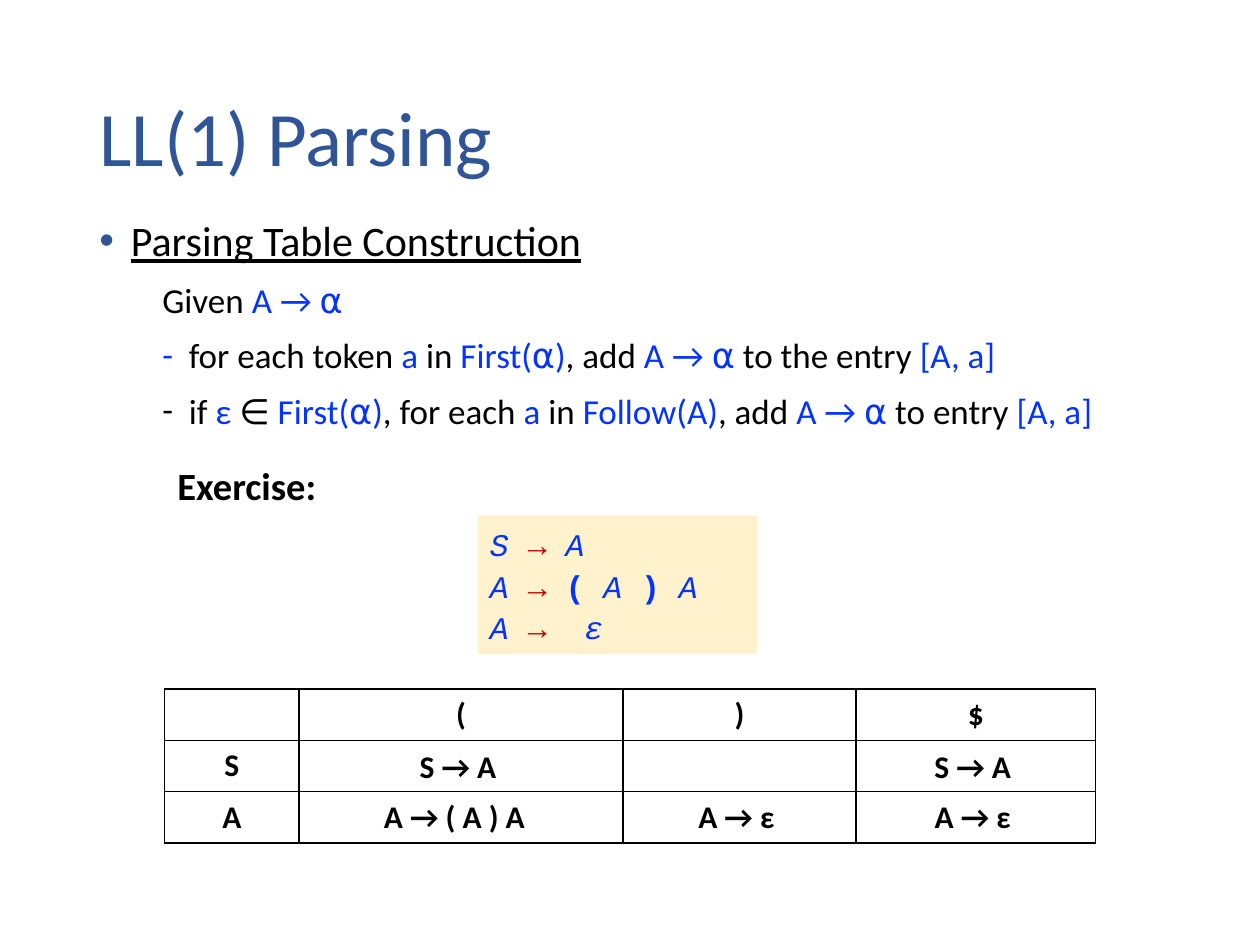
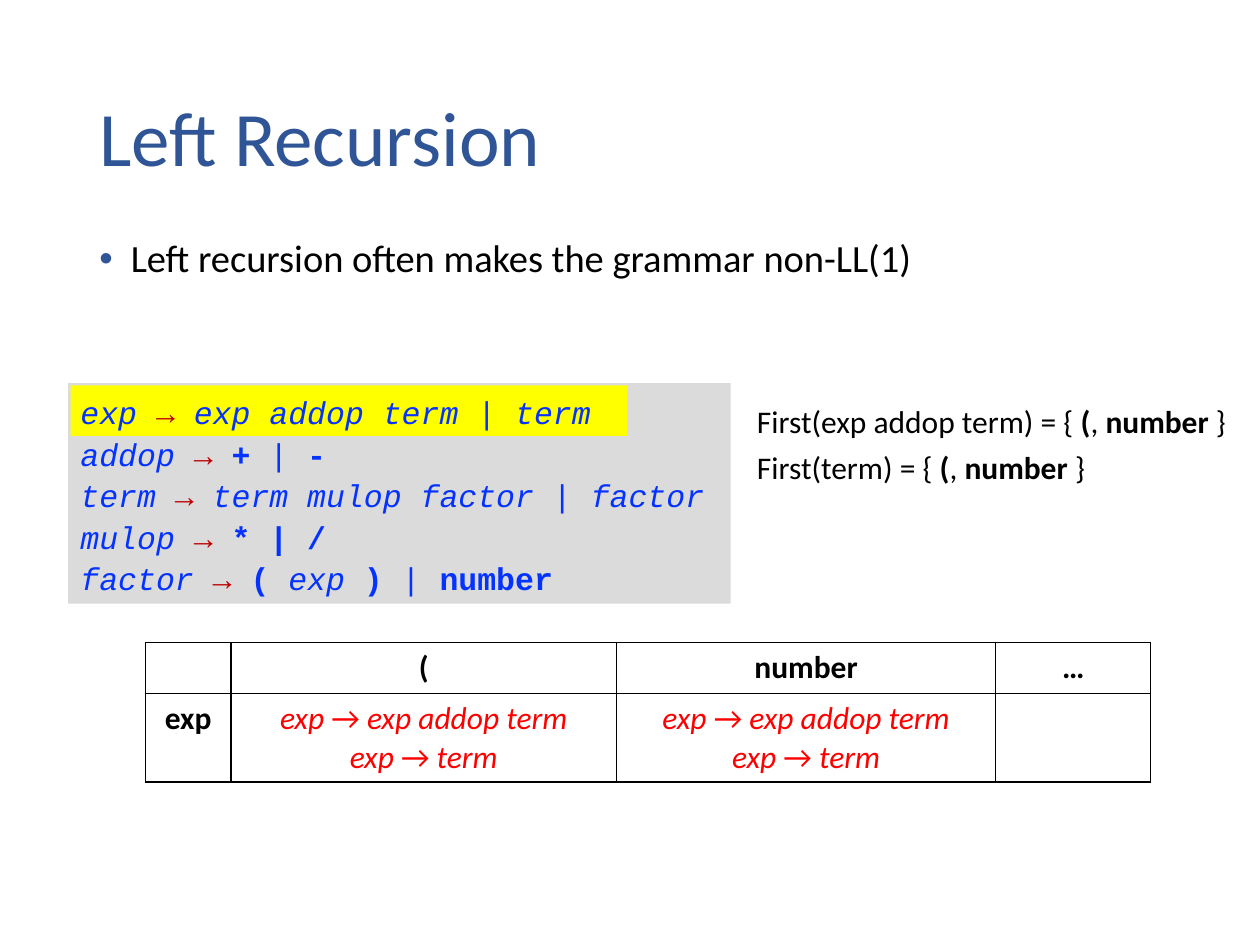
from lxml import etree
from pptx import Presentation
from pptx.dml.color import RGBColor
from pptx.enum.shapes import MSO_SHAPE
from pptx.enum.text import MSO_ANCHOR, PP_ALIGN
from pptx.oxml.ns import qn
from pptx.util import Inches, Pt

RECTANGLE = MSO_SHAPE.RECTANGLE
MIDDLE = MSO_ANCHOR.MIDDLE
LEFT, CENTER = PP_ALIGN.LEFT, PP_ALIGN.CENTER
BODY_FONT, CODE_FONT, BULLET_FONT = "Calibri", "Courier New", "Arial"
TITLE_BLUE, BLUE, BLACK = "2F5597", "0432FF", "000000"

# Run styles: colour and the font attributes that are switched on
STYLES = {
    "title": (TITLE_BLUE, ()),
    "plain": (BLACK, ()),
    "strong": (BLACK, ("bold",)),
    "heading": (BLACK, ("underline",)),
    "term": (BLUE, ()),
    "symbol": (BLUE, ("italic",)),
    "token": (BLUE, ("bold",)),
    "arrow": ("C00000", ()),
    "conflict": ("FF0000", ("italic",)),
    "conflict arrow": ("FF0000", ()),
}

prs = Presentation()
prs.slide_width, prs.slide_height = Inches(10), Inches(7.5)
CELL = prs.slide_width / 100  # square grid: 100 columns by 75 rows


def add_box(slide, left, top, width, height, fill=None):
    """Filled rectangle, or a text box when no fill is given; returns its text frame."""
    place = [round(n * CELL) for n in (left, top, width, height)]
    if fill:
        box = slide.shapes.add_shape(RECTANGLE, *place)
        box.shadow.inherit = False
        box.fill.solid()
        box.fill.fore_color.rgb = RGBColor.from_string(fill)
        box.line.fill.background()
    else:
        box = slide.shapes.add_textbox(*place)
    box.text_frame.word_wrap = True
    return box.text_frame


def write(frame, lines, size, font=BODY_FONT, align=LEFT, spacing=1.0, before=0,
          margin=0, hang=0, bullet=None, bullet_colour=BLACK, bullet_font=BODY_FONT):
    """Append one paragraph per line; a line is a list of (text, style) runs."""
    for line in lines:
        first = not frame.text
        paragraph = frame.paragraphs[0] if first else frame.add_paragraph()
        props = paragraph._p.get_or_add_pPr()
        if margin:
            props.set("marL", str(Inches(margin)))
            props.set("indent", str(-Inches(hang)))
        if bullet:
            colour = etree.SubElement(props, qn("a:buClr"))
            etree.SubElement(colour, qn("a:srgbClr"), val=bullet_colour)
            etree.SubElement(props, qn("a:buFont"), typeface=bullet_font)
            etree.SubElement(props, qn("a:buChar"), char=bullet)
        paragraph.alignment = align
        paragraph.line_spacing = spacing
        if before and not first:
            paragraph.space_before = Pt(before)
        for text, style in line:
            run = paragraph.add_run()
            run.text = text
            colour, switches = STYLES[style]
            run.font.name, run.font.size = font, Pt(size)
            run.font.color.rgb = RGBColor.from_string(colour)
            for switch in switches:
                setattr(run.font, switch, True)


# Both slides with their titles
slides = []
for title in ("LL(1) Parsing", "Left Recursion"):
    slide = prs.slides.add_slide(prs.slide_layouts[6])
    title_frame = add_box(slide, 6.9, 4, 86.2, 14.5)
    title_frame.vertical_anchor = MIDDLE
    write(title_frame, [[(title, "title")]], 44, spacing=0.9)
    slides.append(slide)
parsing, recursion = slides

# Rules for building the parsing table
heading_look = dict(spacing=0.9, margin=0.25, hang=0.25, bullet="•",
                    bullet_colour=TITLE_BLUE, bullet_font=BULLET_FONT)
rule_look = dict(spacing=0.9, before=10)
rules = add_box(parsing, 6.9, 17, 93.1, 19.6)
write(rules, [[("Parsing Table Construction", "heading")]], 24, **heading_look)
write(rules, [[("Given ", "plain"), ("A → ⍺", "term")]], 20, margin=0.5, **rule_look)
first_rule = [("for each token ", "plain"), ("a", "term"), (" in ", "plain"),
              ("First(⍺)", "term"), (", add ", "plain"), ("A → ⍺", "term"),
              (" to the entry ", "plain"), ("[A, a]", "term")]
follow_rule = [("if ", "plain"), ("ε", "term"), (" ∈ ", "plain"), ("First(⍺)", "term"),
               (", for each ", "plain"), ("a", "term"), (" in ", "plain"),
               ("Follow(A)", "term"), (", add ", "plain"), ("A → ⍺", "term"),
               (" to entry ", "plain"), ("[A, a]", "term")]
for rule, dash_colour in ((first_rule, BLUE), (follow_rule, BLACK)):
    write(rules, [rule], 20, margin=0.71, hang=0.21, bullet="-",
          bullet_colour=dash_colour, **rule_look)

exercise = add_box(parsing, 13.1, 36.2, 13.2, 4.7)
exercise.word_wrap = False
write(exercise, [[("Exercise:", "strong")]], 22)

# Grammar of the exercise
grammar_look = dict(size=18, font=CODE_FONT, spacing=1.1)
add_box(parsing, 37.9, 40.9, 22.2, 11, "FFF2CC")
write(add_box(parsing, 37.9, 40.9, 28.5, 11), [
    [("S ", "symbol"), ("→ ", "arrow"), ("A", "symbol")],
    [("A ", "symbol"), ("→ ", "arrow"), ("( ", "token"), ("A ", "symbol"),
     (") ", "token"), ("A", "symbol")],
    [("A ", "symbol"), ("→  ", "arrow"), ("ε", "symbol")],
], **grammar_look)

# Left recursion statement
write(add_box(recursion, 6.9, 18.5, 73.7, 5.6),
      [[("Left recursion often makes the grammar non-LL(1)", "plain")]], 22, **heading_look)

# Expression grammar, its left-recursive rule highlighted
add_box(recursion, 5.4, 30.4, 52.6, 17.5, "DBDBDB")
add_box(recursion, 5.6, 30.6, 44.2, 4, "FFFF00")
write(add_box(recursion, 5.4, 30.4, 52.6, 17.5), [
    [("exp ", "symbol"), ("→ ", "arrow"), ("exp addop term ", "symbol"),
     ("| ", "term"), ("term", "symbol")],
    [("addop ", "symbol"), ("→ ", "arrow"), ("+ ", "token"), ("| ", "term"), ("-", "token")],
    [("term ", "symbol"), ("→ ", "arrow"), ("term mulop factor ", "symbol"),
     ("| ", "term"), ("factor", "symbol")],
    [("mulop ", "symbol"), ("→ ", "arrow"), ("* | /", "token")],
    [("factor ", "symbol"), ("→ ", "arrow"), ("(", "token"), (" exp ", "symbol"),
     (") ", "token"), ("| ", "term"), ("number", "token")],
], **grammar_look)

# First sets of the two alternatives
for row, alternative in enumerate(("exp addop term", "term")):
    first_set = add_box(recursion, 59.1, 31.4 + 3.7 * row, 39.6, 4)
    first_set.word_wrap = False
    write(first_set, [[(f"First({alternative}) = {{ ", "plain"), ("(", "strong"),
                       (", ", "plain"), ("number", "strong"), (" }", "plain")]], 18)

# Parsing tables: slide, left, top, column widths, row heights, cell lines
conflict = [[("exp ", "conflict"), ("→", "conflict arrow"), (f" {body}", "conflict")]
            for body in ("exp addop term", "term")]
parsing_tables = [
    (parsing, 13.05, 54.7, (10.7, 25.7, 18.5, 19), (4.07, 4.07, 4.07),
     [["", "(", ")", "$"],
      ["S", "", "", ""],
      ["A", "", "", ""]]),
    (recursion, 11.53, 51, (6.8, 30.6, 30.1, 12.3), (4.05, 7),
     [["", "(", "number", "…"],
      ["exp", conflict, conflict, ""]]),
]
for slide, left, top, widths, heights, entries in parsing_tables:
    place = [round(n * CELL) for n in (left, top, sum(widths), sum(heights))]
    table = slide.shapes.add_table(len(heights), len(widths), *place).table
    table.first_row = table.horz_banding = False
    for column, width in zip(table.columns, widths):
        column.width = round(width * CELL)
    for row, height, row_entries in zip(table.rows, heights, entries):
        row.height = round(height * CELL)
        for cell, entry in zip(row.cells, row_entries):
            props = cell._tc.get_or_add_tcPr()
            for side in ("a:lnL", "a:lnR", "a:lnT", "a:lnB"):
                border = etree.SubElement(props, qn(side), w=str(Pt(1)))
                ink = etree.SubElement(border, qn("a:solidFill"))
                etree.SubElement(ink, qn("a:srgbClr"), val=BLACK)
            cell.fill.background()
            if entry:
                lines = [[(entry, "strong")]] if isinstance(entry, str) else entry
                write(cell.text_frame, lines, 18, align=CENTER)

# Answers of the exercise, laid over the empty table cells
ANSWER_WIDTH = 16
paren_center, close_center, end_center = 36.35, 58.45, 77.2
s_row, a_row = 58.8, 62.8
for production, center, top in (("S → A", paren_center, s_row),
                                ("A → ( A ) A ", paren_center, a_row),
                                ("S → A", end_center, s_row),
                                ("A → ε", close_center, a_row),
                                ("A → ε", end_center, a_row)):
    answer = add_box(parsing, center - ANSWER_WIDTH / 2, top, ANSWER_WIDTH, 4)
    write(answer, [[(production, "strong")]], 18, align=CENTER)

prs.save("out.pptx")
